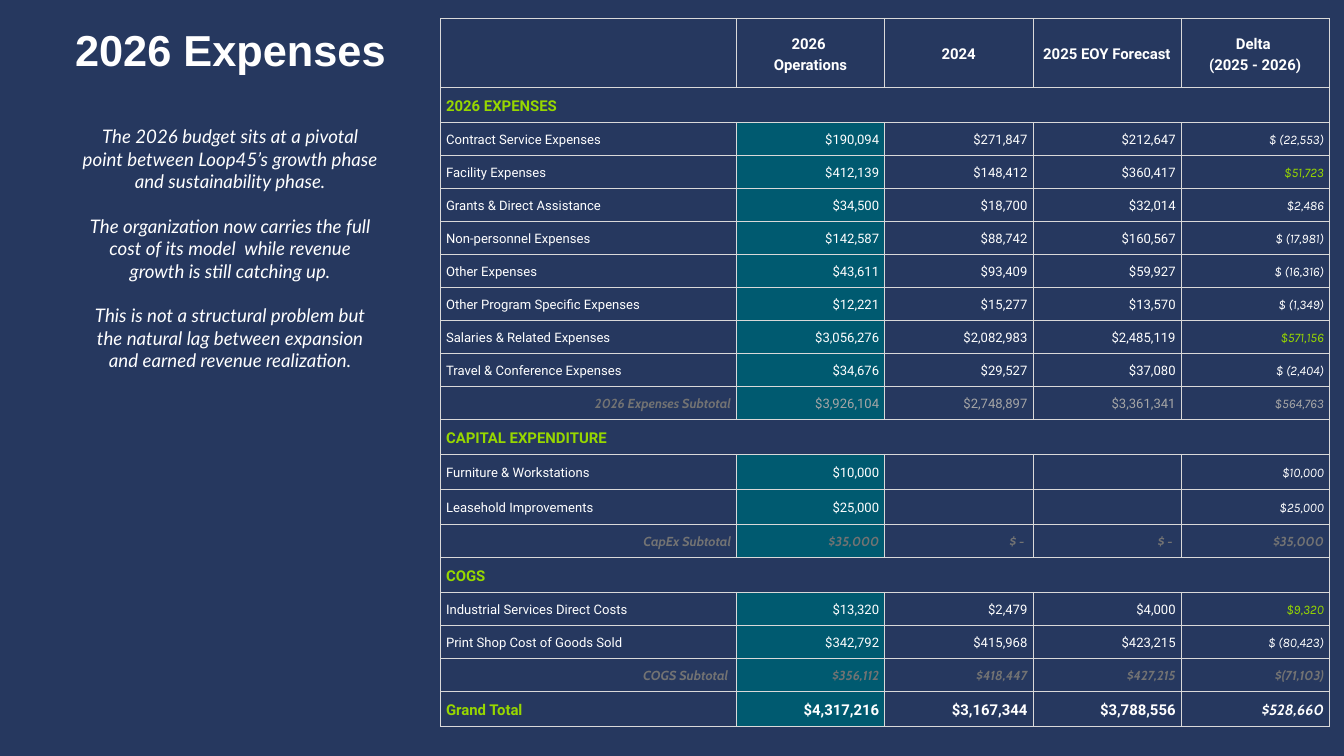
from dataclasses import dataclass

from lxml import etree
from pptx import Presentation
from pptx.dml.color import RGBColor
from pptx.enum.text import MSO_ANCHOR, MSO_AUTO_SIZE, PP_ALIGN
from pptx.oxml.ns import qn
from pptx.util import Pt

LEFT, CENTER, RIGHT = PP_ALIGN.LEFT, PP_ALIGN.CENTER, PP_ALIGN.RIGHT
TOP, MIDDLE = MSO_ANCHOR.TOP, MSO_ANCHOR.MIDDLE
NO_AUTOFIT = MSO_AUTO_SIZE.NONE


@dataclass(frozen=True)
class Theme:
    navy: str = "26385F"
    teal: str = "005A70"
    green: str = "97D700"
    white: str = "FFFFFF"
    light_gray: str = "A6A6A6"
    dark_gray: str = "737373"
    border: str = "D9D9D9"
    title_size: float = 46.4
    body_size: float = 20
    heading_size: float = 16
    cell_size: float = 14


@dataclass(frozen=True)
class TextStyle:
    font: str
    size: float
    color: str
    bold: bool = False
    italic: bool = False


theme = Theme()


def write_paragraph(paragraph, text, style, alignment, line_spacing):
    paragraph.alignment = alignment
    paragraph.line_spacing = Pt(line_spacing)
    run = paragraph.add_run()
    run.text = text
    run.font.name = style.font
    run.font.size = Pt(style.size)
    run.font.bold = style.bold
    run.font.italic = style.italic
    run.font.color.rgb = RGBColor.from_string(style.color)


def draw_borders(cell):
    properties = cell._tc.get_or_add_tcPr()
    for position, side in enumerate(("lnL", "lnR", "lnT", "lnB")):
        line = etree.Element(qn(f"a:{side}"), w=str(Pt(0.75)))
        fill = etree.SubElement(line, qn("a:solidFill"))
        etree.SubElement(fill, qn("a:srgbClr"), val=theme.border)
        properties.insert(position, line)


# Text styles
title_style = TextStyle("Arial", theme.title_size, theme.white, bold=True)
body_style = TextStyle("Lato", theme.body_size, theme.white, italic=True)
header = TextStyle("Roboto", theme.heading_size, theme.white, bold=True)
section = TextStyle("Roboto", theme.heading_size, theme.green, bold=True)
total_delta = TextStyle("Cabin", theme.heading_size, theme.white, bold=True, italic=True)
plain = TextStyle("Roboto", theme.cell_size, theme.white)
delta = TextStyle("Karla", theme.cell_size, theme.white, italic=True)
green_delta = TextStyle("Karla", theme.cell_size, theme.green, italic=True)
muted = TextStyle("Roboto", theme.cell_size, theme.light_gray)
muted_delta = TextStyle("Karla", theme.cell_size, theme.light_gray, italic=True)
subtotal = TextStyle("Cabin", theme.cell_size, theme.dark_gray, bold=True, italic=True)

# Row kinds: height, label alignment, number alignment, label, number and delta styles
TALL, SHORT = 37.5, 35.35
row_kinds = {
    "header": (74.2, LEFT, CENTER, header, header, header),
    "section": (TALL, LEFT, RIGHT, section, section, section),
    "item": (SHORT, LEFT, RIGHT, plain, plain, delta),
    "highlight": (SHORT, LEFT, RIGHT, plain, plain, green_delta),
    "capital": (TALL, LEFT, RIGHT, plain, plain, delta),
    "muted": (SHORT, RIGHT, RIGHT, subtotal, muted, muted_delta),
    "subtotal": (SHORT, RIGHT, RIGHT, subtotal, subtotal, subtotal),
    "total": (TALL, LEFT, RIGHT, section, header, total_delta),
}
rows = [
    ("header", "", "2026 \nOperations", "2024", "2025 EOY Forecast", "Delta \n(2025 - 2026)"),
    ("section", "2026 EXPENSES"),
    ("item", "Contract Service Expenses", "$190,094", "$271,847", "$212,647", "$ (22,553)"),
    ("highlight", "Facility Expenses", "$412,139", "$148,412", "$360,417", "$51,723"),
    ("item", "Grants & Direct Assistance", "$34,500", "$18,700", "$32,014", "$2,486"),
    ("item", "Non-personnel Expenses", "$142,587", "$88,742", "$160,567", "$ (17,981)"),
    ("item", "Other Expenses", "$43,611", "$93,409", "$59,927", "$ (16,316)"),
    ("item", "Other Program Specific Expenses", "$12,221", "$15,277", "$13,570", "$ (1,349)"),
    ("highlight", "Salaries & Related Expenses", "$3,056,276", "$2,082,983", "$2,485,119", "$571,156"),
    ("item", "Travel & Conference Expenses", "$34,676", "$29,527", "$37,080", "$ (2,404)"),
    ("muted", "2026 Expenses Subtotal", "$3,926,104", "$2,748,897", "$3,361,341", "$564,763"),
    ("section", "CAPITAL EXPENDITURE"),
    ("capital", "Furniture & Workstations", "$10,000", "", "", "$10,000"),
    ("capital", "Leasehold Improvements", "$25,000", "", "", "$25,000"),
    ("subtotal", "CapEx Subtotal", "$35,000", "$ - ", "$ - ", "$35,000"),
    ("section", "COGS"),
    ("highlight", "Industrial Services Direct Costs", "$13,320", "$2,479", "$4,000", "$9,320"),
    ("item", "Print Shop Cost of Goods Sold", "$342,792", "$415,968", "$423,215", "$ (80,423)"),
    ("subtotal", "COGS Subtotal ", "$356,112", "$418,447", "$427,215", "$(71,103)"),
    ("total", "Grand Total", "$4,317,216", "$3,167,344", "$3,788,556", "$528,660"),
]
column_widths = [316.8] + [158.8] * 4
commentary = [
    "The 2026 budget sits at a pivotal point between Loop45’s growth phase and sustainability phase.",
    "The organization now carries the full cost of its model  while revenue growth is still catching up.",
    "This is not a structural problem but the natural lag between expansion and earned revenue realization.",
]

# Slide and background
presentation = Presentation()
presentation.slide_width, presentation.slide_height = Pt(1440), Pt(810)
slide = presentation.slides.add_slide(presentation.slide_layouts[5])
slide.background.fill.solid()
slide.background.fill.fore_color.rgb = RGBColor.from_string(theme.navy)

# Expense table
table_height = sum(row_kinds[row[0]][0] for row in rows)
table = slide.shapes.add_table(
    len(rows), len(column_widths), Pt(472.2), Pt(19.4), Pt(sum(column_widths)), Pt(table_height)
).table
table.first_row = False
table.horz_banding = False
for column, width in zip(table.columns, column_widths):
    column.width = Pt(width)

for row_index, (kind, *texts) in enumerate(rows):
    height, label_alignment, number_alignment, label_style, number_style, delta_style = row_kinds[kind]
    table.rows[row_index].height = Pt(height)
    styles = [label_style] + [number_style] * 3 + [delta_style]
    for column_index in range(len(column_widths)):
        cell = table.cell(row_index, column_index)
        cell.vertical_anchor = MIDDLE
        cell.margin_left = cell.margin_right = cell.margin_top = cell.margin_bottom = Pt(5.75)
        if column_index == 1 and kind not in ("header", "section"):
            cell.fill.solid()
            cell.fill.fore_color.rgb = RGBColor.from_string(theme.teal)
        else:
            cell.fill.background()
        draw_borders(cell)
        if column_index >= len(texts) or not texts[column_index]:
            continue
        style = styles[column_index]
        alignment = number_alignment if column_index else label_alignment
        for line_index, line in enumerate(texts[column_index].split("\n")):
            frame = cell.text_frame
            paragraph = frame.add_paragraph() if line_index else frame.paragraphs[0]
            write_paragraph(paragraph, line, style, alignment, style.size * 1.4)
    if kind == "section":
        table.cell(row_index, 0).merge(table.cell(row_index, len(column_widths) - 1))

# Title and commentary
title = slide.shapes.title
title.left, title.top, title.width, title.height = Pt(21.6), Pt(24.5), Pt(450.7), Pt(56.2)
commentary_box = slide.shapes.add_textbox(Pt(86.4), Pt(133.9), Pt(320.4), Pt(265))
for shape, texts, style, line_spacing in (
    (title, ["2026 Expenses"], title_style, 55.7),
    (commentary_box, commentary, body_style, 24),
):
    frame = shape.text_frame
    frame.word_wrap = True
    frame.auto_size = NO_AUTOFIT
    frame.vertical_anchor = TOP
    frame.margin_left = frame.margin_right = frame.margin_top = frame.margin_bottom = 0
    for index, text in enumerate(texts):
        paragraph = frame.add_paragraph() if index else frame.paragraphs[0]
        write_paragraph(paragraph, text, style, CENTER, line_spacing)
        paragraph.space_before = Pt(line_spacing if index else 0)

presentation.save("out.pptx")
